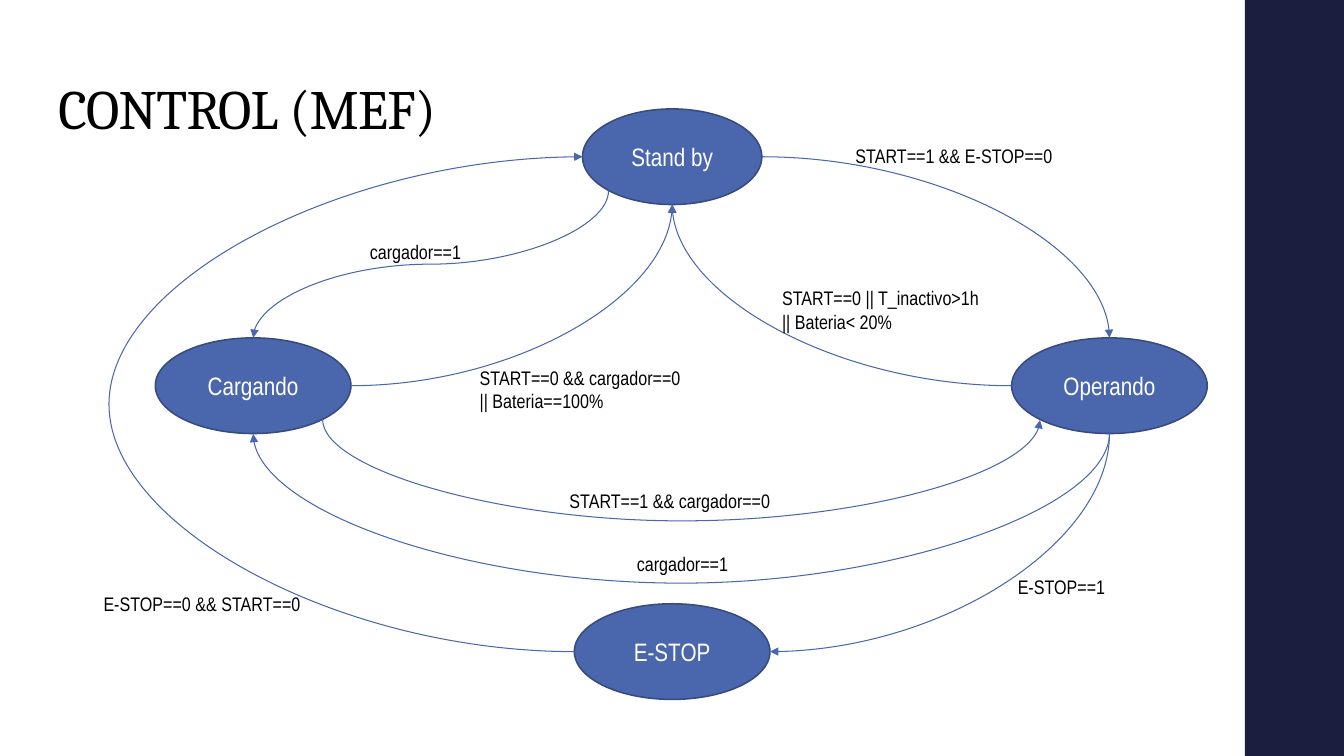
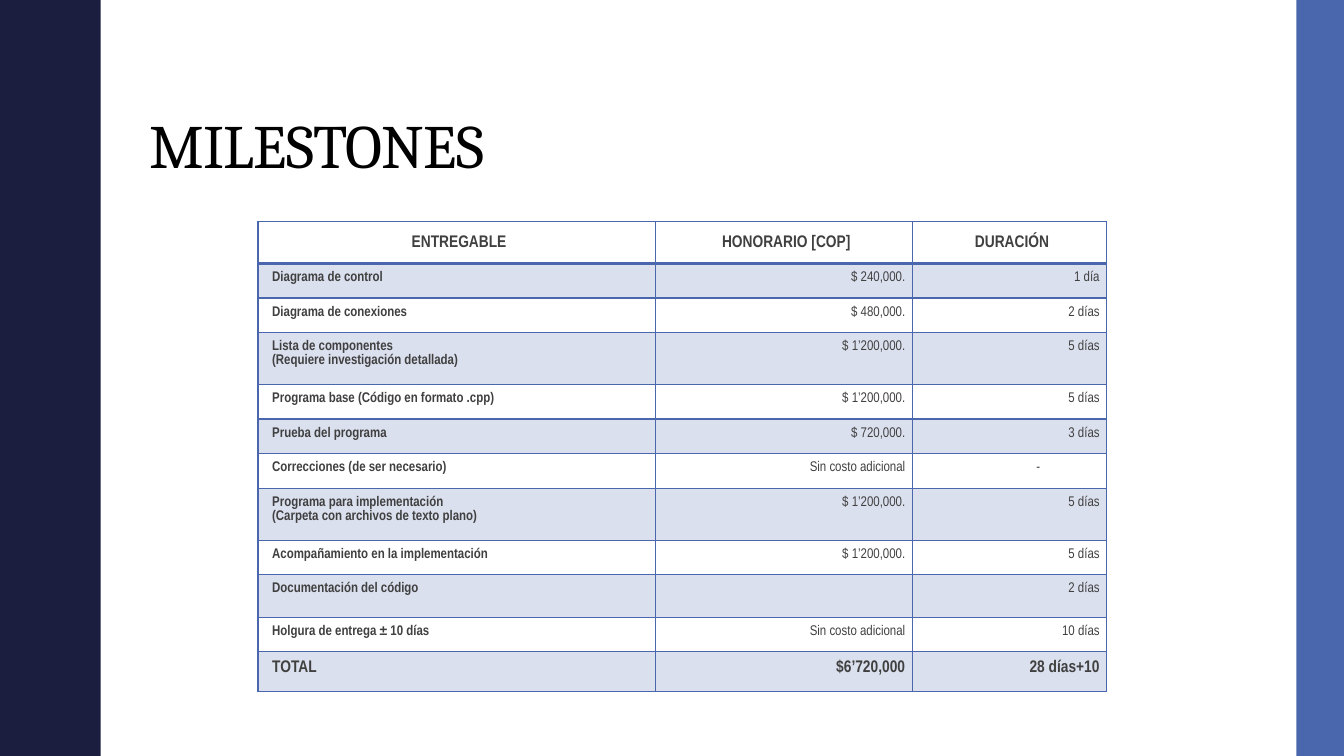
from dataclasses import dataclass
from typing import Any, NamedTuple, Optional

import lxml.etree
import pptx
import pptx.dml.color
import pptx.enum.shapes
import pptx.enum.text
import pptx.oxml.ns
import pptx.util

Cm = pptx.util.Cm
Pt = pptx.util.Pt
qn = pptx.oxml.ns.qn
Align = pptx.enum.text.PP_ALIGN
Anchor = pptx.enum.text.MSO_ANCHOR
Form = pptx.enum.shapes.MSO_SHAPE


@dataclass(frozen=True)
class Theme:
    navy: str = "1B1E3E"
    blue: str = "4A66AC"
    edge: str = "374B7F"
    pale: str = "DBE0EE"
    white: str = "FFFFFF"
    black: str = "000000"
    gray: str = "404040"
    head: str = "Cambria"
    body: str = "Arial Narrow"
    state: float = 18
    label: float = 14
    strong: float = 12
    cell: float = 10


THEME = Theme()
WIDTH, HEIGHT = 33.87, 19.05


class Box(NamedTuple):
    left: float
    top: float
    width: float
    height: float

    def cm(self) -> list[int]:
        return [Cm(v) for v in self]


class Site(NamedTuple):
    index: int
    x: float
    y: float
    turn: int


TOP = Site(0, 0, -1, 270)
LEFT = Site(2, -1, 0, 180)
LOW_LEFT = Site(3, -0.71, 0.71, 90)
BOTTOM = Site(4, 0, 1, 90)
LOW_RIGHT = Site(5, 0.71, 0.71, 90)
RIGHT = Site(6, 1, 0, 0)


class State(NamedTuple):
    name: str
    x: float
    y: float
    width: float = 4.93
    height: float = 2.41

    def point(self, site: Site) -> tuple[float, float]:
        return self.x + site.x * self.width / 2, self.y + site.y * self.height / 2


class Move(NamedTuple):
    start: State
    exit: Site
    end: State
    entry: Site
    reach: Optional[float] = None


class Label(NamedTuple):
    text: str
    left: float
    top: float
    width: float


class Row(NamedTuple):
    task: str
    fee: str
    time: str
    height: float = 0.87


IDLE = State("Stand by", 16.94, 3.95, 4.52)
RUN = State("Operando", 27.96, 9.72)
CHARGE = State("Cargando", 6.38, 9.72)
STOP = State("E-STOP", 16.94, 16.42)
STATES = [IDLE, RUN, CHARGE, STOP]

MOVES = [
    Move(IDLE, LOW_LEFT, CHARGE, TOP, 1.85),
    Move(IDLE, RIGHT, RUN, TOP),
    Move(RUN, BOTTOM, CHARGE, BOTTOM, 3.78),
    Move(RUN, BOTTOM, STOP, RIGHT),
    Move(STOP, LEFT, IDLE, LEFT, 11.73),
    Move(RUN, LEFT, IDLE, BOTTOM),
    Move(CHARGE, RIGHT, IDLE, BOTTOM),
    Move(CHARGE, LOW_RIGHT, RUN, LOW_LEFT, 2.56),
]

LABELS = [
    Label("START==1 && E-STOP==0", 21.31, 3.51, 6.45),
    Label("START==0 || T_inactivo>1h\n|| Bateria< 20%", 19.46, 7.09, 6.17),
    Label("E-STOP==1", 25.4, 14.35, 4.93),
    Label("E-STOP==0 && START==0", 2.36, 14.78, 6.48),
    Label("cargador==1", 15.8, 13.79, 3.05),
    Label("cargador==1", 9.07, 5.92, 3.05),
    Label("START==0 && cargador==0\n|| Bateria==100%", 11.84, 9.09, 6.2),
    Label("START==1 && cargador==0", 14.1, 12.19, 6.2),
]

ROWS = [
    Row("ENTREGABLE", "HONORARIO [COP]", "DURACIÓN", 1.05),
    Row("Diagrama de control", "$ 240,000.", "1 día"),
    Row("Diagrama de conexiones", "$ 480,000.", "2 días"),
    Row("Lista de componentes\n(Requiere investigación detallada)", "$ 1’200,000.", "5 días", 1.31),
    Row("Programa base (Código en formato .cpp)", "$ 1’200,000.", "5 días"),
    Row("Prueba del programa", "$ 720,000.", "3 días"),
    Row("Correcciones (de ser necesario)", "Sin costo adicional", "-"),
    Row("Programa para implementación\n(Carpeta con archivos de texto plano)", "$ 1’200,000.", "5 días", 1.31),
    Row("Acompañamiento en la implementación", "$ 1’200,000.", "5 días"),
    Row("Documentación del código", "", "2 días"),
    Row("Holgura de entrega ± 10 días", "Sin costo adicional", "10 días"),
    Row("TOTAL", "$6’720,000", "28 días+10", 1.0),
]
COLUMNS = [10.01, 6.48, 4.9]


def color(code: str) -> pptx.dml.color.RGBColor:
    return pptx.dml.color.RGBColor.from_string(code)


def write(frame: Any, text: str, *, size: float, tint: str = THEME.black,
          font: str = THEME.body, bold: bool = False, align: Any = Align.LEFT,
          anchor: Any = Anchor.TOP, space: float = 1.0, track: float = 0,
          indent: float = 0) -> None:
    frame.word_wrap = True
    frame.vertical_anchor = anchor
    for i, line in enumerate(text.split("\n")):
        para = frame.add_paragraph() if i else frame.paragraphs[0]
        para.alignment = align
        para.line_spacing = space
        if indent:
            para._p.get_or_add_pPr().set("marL", str(Cm(indent)))
        run = para.add_run()
        run.text = line
        run.font.size = Pt(size)
        run.font.name = font
        run.font.bold = bold
        run.font.color.rgb = color(tint)
        if track:
            run._r.get_or_add_rPr().set("spc", str(round(track * 100)))


def add_title(slide: Any, text: str, box: Box, size: float) -> None:
    title = slide.shapes.title
    title.left, title.top, title.width, title.height = box.cm()
    title.text_frame.auto_size = pptx.enum.text.MSO_AUTO_SIZE.NONE
    write(title.text_frame, text, size=size, font=THEME.head,
          anchor=Anchor.BOTTOM, space=0.9, track=-0.5)


def add_form(slide: Any, kind: Any, box: Box, fill: str, edge: str = "") -> Any:
    shape = slide.shapes.add_shape(kind, *box.cm())
    shape.shadow.inherit = False
    shape.fill.solid()
    shape.fill.fore_color.rgb = color(fill)
    if edge:
        shape.line.color.rgb = color(edge)
        shape.line.width = Pt(1.1)
    else:
        shape.line.fill.background()
    return shape


def add_band(slide: Any, left: float, width: float, fill: str) -> None:
    add_form(slide, Form.RECTANGLE, Box(left, 0, width, HEIGHT), fill)


def add_state(slide: Any, state: State) -> Any:
    box = Box(state.x - state.width / 2, state.y - state.height / 2,
              state.width, state.height)
    shape = add_form(slide, Form.OVAL, box, THEME.blue, THEME.edge)
    write(shape.text_frame, state.name, size=THEME.state, tint=THEME.white,
          align=Align.CENTER, anchor=Anchor.MIDDLE)
    return shape


def add_move(slide: Any, move: Move, shapes: dict[str, Any]) -> None:
    x1, y1 = move.start.point(move.exit)
    x2, y2 = move.end.point(move.entry)
    dx, dy = x2 - x1, y2 - y1
    ahead, side = {0: (dx, dy), 90: (dy, -dx),
                   180: (-dx, -dy), 270: (-dy, dx)}[move.exit.turn]
    width, height = max(abs(ahead), 0.02), abs(side)
    left, top = (x1 + x2 - width) / 2, (y1 + y2 - height) / 2
    curve = slide.shapes.add_connector(
        pptx.enum.shapes.MSO_CONNECTOR.CURVE,
        Cm(left), Cm(top), Cm(left + width), Cm(top + height))
    curve.line.color.rgb = color(THEME.blue)
    curve.line.width = Pt(0.75)
    props = curve._element.spPr
    lxml.etree.SubElement(props.find(qn("a:ln")), qn("a:tailEnd"), type="triangle")
    lxml.etree.SubElement(props, qn("a:effectLst"))
    frame = props.find(qn("a:xfrm"))
    frame.set("rot", str(move.exit.turn * 60000))
    if ahead < 0:
        frame.set("flipH", "1")
    if side < 0:
        frame.set("flipV", "1")
    shape = props.find(qn("a:prstGeom"))
    if move.reach is None:
        shape.set("prst", "curvedConnector2")
    else:
        ratio = move.reach / width * (-1 if ahead < 0 else 1)
        lxml.etree.SubElement(shape.find(qn("a:avLst")), qn("a:gd"),
                              name="adj1", fmla=f"val {round(ratio * 100000)}")
    links = curve._element.find(".//" + qn("p:cNvCxnSpPr"))
    for tag, state, site in (("a:stCxn", move.start, move.exit),
                             ("a:endCxn", move.end, move.entry)):
        lxml.etree.SubElement(links, qn(tag), id=str(shapes[state.name].shape_id),
                              idx=str(site.index))


def add_label(slide: Any, label: Label) -> None:
    lines = label.text.count("\n") + 1
    box = Box(label.left, label.top, label.width, 0.28 + 0.58 * lines)
    frame = slide.shapes.add_textbox(*box.cm()).text_frame
    write(frame, label.text, size=THEME.label)


def add_edge(cell: Any, side: str, width: float) -> None:
    props = cell._tc.get_or_add_tcPr()
    line = lxml.etree.SubElement(props, qn(f"a:ln{side}"), w=str(Pt(width)))
    fill = lxml.etree.SubElement(line, qn("a:solidFill"))
    lxml.etree.SubElement(fill, qn("a:srgbClr"), val=THEME.blue)


def fill_cell(cell: Any, text: str, row: int, col: int) -> None:
    head, total = row == 0, row == len(ROWS) - 1
    pad = 0.23 if head else 0.18
    cell.margin_left = Cm(0.36)
    cell.margin_right = cell.margin_top = cell.margin_bottom = Cm(pad)
    for side in "LRTB":
        heavy = (row, side) in ((0, "B"), (1, "T"))
        add_edge(cell, side, 2 if heavy else 1)
    cell.fill.solid()
    cell.fill.fore_color.rgb = color(THEME.pale if row % 2 else THEME.white)
    cell.vertical_anchor = Anchor.MIDDLE if head else Anchor.TOP
    dash = text == "-"
    align = Align.CENTER if head or dash else Align.RIGHT if col else Align.LEFT
    write(cell.text_frame, text, size=THEME.strong if head or total else THEME.cell,
          tint=THEME.gray, bold=head or total or col == 0, align=align,
          anchor=cell.vertical_anchor, space=1.07, indent=1.27 if dash else 0)


def add_grid(slide: Any, left: float, top: float) -> None:
    box = Box(left, top, sum(COLUMNS), sum(r.height for r in ROWS))
    grid = slide.shapes.add_table(len(ROWS), len(COLUMNS), *box.cm()).table
    grid.first_row = grid.horz_banding = False
    for col, width in enumerate(COLUMNS):
        grid.columns[col].width = Cm(width)
    for i, row in enumerate(ROWS):
        grid.rows[i].height = Cm(row.height)
        for col, text in enumerate((row.task, row.fee, row.time)):
            fill_cell(grid.cell(i, col), text, i, col)


def draw_control(slide: Any) -> None:
    add_band(slide, 31.37, WIDTH - 31.37, THEME.navy)
    add_title(slide, "CONTROL (MEF)", Box(1.22, 1.27, 12.88, 2.41), 39.6)
    shapes = {state.name: add_state(slide, state) for state in STATES}
    for move in MOVES:
        add_move(slide, move, shapes)
    for label in LABELS:
        add_label(slide, label)


def draw_plan(slide: Any) -> None:
    add_band(slide, 0, 2.54, THEME.navy)
    add_band(slide, 32.67, WIDTH - 32.67, THEME.blue)
    add_title(slide, "MILESTONES", Box(3.51, 1.02, 27.38, 3.68), 44)
    add_grid(slide, 6.5, 5.59)


def main() -> None:
    deck = pptx.Presentation()
    deck.slide_width, deck.slide_height = Cm(WIDTH), Cm(HEIGHT)
    for draw in (draw_control, draw_plan):
        draw(deck.slides.add_slide(deck.slide_layouts[5]))
    deck.save("out.pptx")


if __name__ == "__main__":
    main()
